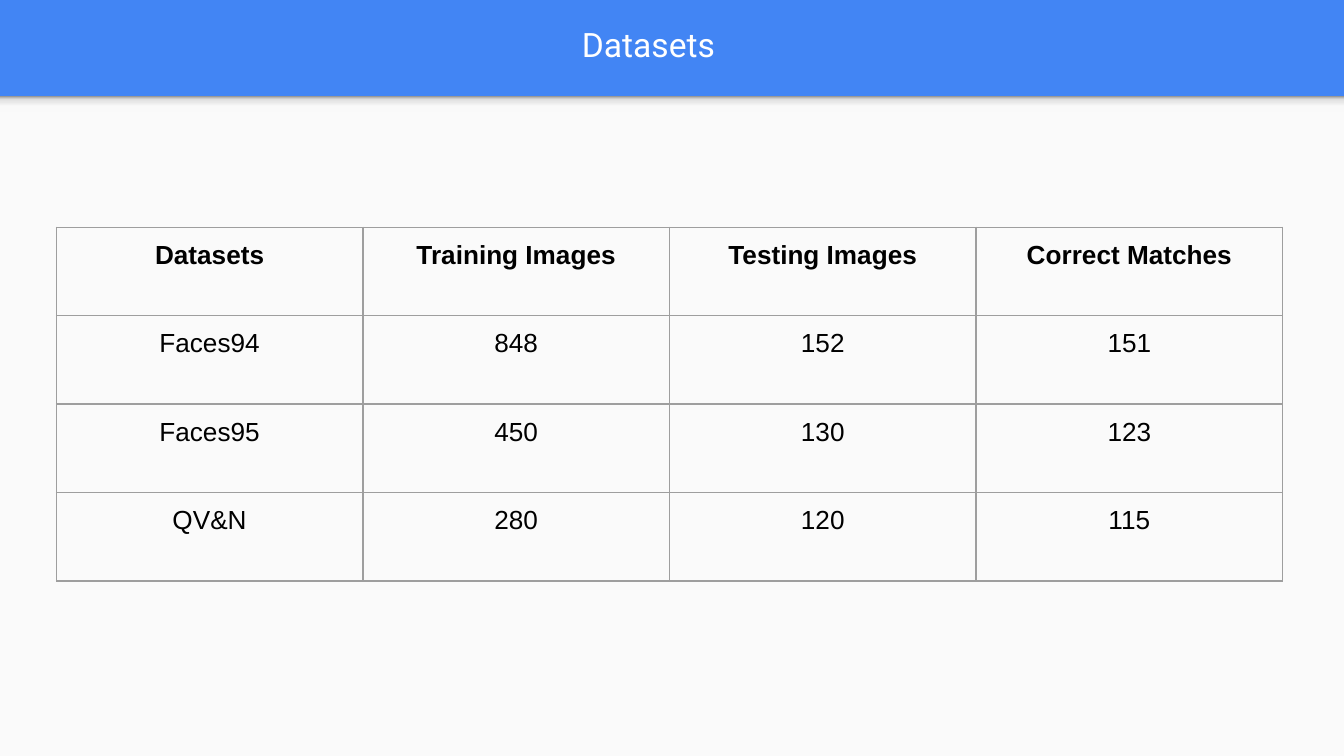
from lxml import etree
from pptx import Presentation
from pptx.dml.color import RGBColor
from pptx.enum.shapes import MSO_SHAPE
from pptx.enum.text import MSO_ANCHOR, PP_ALIGN
from pptx.oxml.ns import qn
from pptx.util import Pt

RECTANGLE = MSO_SHAPE.RECTANGLE
CENTER = PP_ALIGN.CENTER
MIDDLE = MSO_ANCHOR.MIDDLE

COLORS = {
    "header": "4285F4",
    "body": "FAFAFA",
    "title": "FFFFFF",
    "text": "000000",
    "border": "9E9E9E",
}
SHADOW_STOPS = [(0, "F9F9F9"), (36, "F9F9F9"), (80, "DEDEDE"), (100, "999999")]

WIDTH, HEIGHT = 720, 405
HEADER_HEIGHT = 51.5
MARGIN = Pt(7.2)
COLUMN_WIDTH, ROW_HEIGHT = 164.25, 47.4

RESULTS = [
    ["Datasets", "Training Images", "Testing Images", "Correct Matches"],
    ["Faces94", "848", "152", "151"],
    ["Faces95", "450", "130", "123"],
    ["QV&N", "280", "120", "115"],
]


def color(name):
    return RGBColor.from_string(COLORS[name])


def set_margins(holder):
    holder.margin_left = holder.margin_right = MARGIN
    holder.margin_top = holder.margin_bottom = MARGIN


def write(frame, text, font, size, color_name, bold=False):
    paragraph = frame.paragraphs[0]
    paragraph.alignment = CENTER
    run = paragraph.add_run()
    run.text = text
    run.font.name = font
    run.font.size = Pt(size)
    run.font.bold = bold
    run.font.color.rgb = color(color_name)


def add_panel(slide, top, height):
    panel = slide.shapes.add_shape(RECTANGLE, 0, Pt(top), Pt(WIDTH), Pt(height))
    panel.shadow.inherit = False
    panel.line.fill.background()
    return panel


def add_header_shadow(slide):
    header_shadow = add_panel(slide, HEADER_HEIGHT, 8.6)
    fill = header_shadow.fill
    fill.gradient()
    fill.gradient_angle = 90
    # Four stops instead of the default two
    stops = header_shadow.element.spPr.find(".//" + qn("a:gsLst"))
    for stop in list(stops):
        stops.remove(stop)
    for percent, value in SHADOW_STOPS:
        stop = etree.SubElement(stops, qn("a:gs"), pos=str(percent * 1000))
        etree.SubElement(stop, qn("a:srgbClr"), val=value)


def add_title(slide, text):
    title = slide.shapes.add_textbox(0, 0, Pt(694.8), Pt(47.5))
    frame = title.text_frame
    frame.word_wrap = True
    frame.vertical_anchor = MIDDLE
    set_margins(frame)
    write(frame, text, "Roboto", 18, "title")


def set_borders(cell):
    properties = cell._tc.get_or_add_tcPr()
    for index, side in enumerate(("lnL", "lnR", "lnT", "lnB")):
        line = etree.Element(qn("a:" + side), w=str(Pt(0.75)))
        solid = etree.SubElement(line, qn("a:solidFill"))
        etree.SubElement(solid, qn("a:srgbClr"), val=COLORS["border"])
        properties.insert(index, line)


def add_results_table(slide, left, top):
    rows, columns = len(RESULTS), len(RESULTS[0])
    table = slide.shapes.add_table(
        rows, columns, Pt(left), Pt(top),
        Pt(columns * COLUMN_WIDTH), Pt(rows * ROW_HEIGHT),
    ).table
    table.first_row = table.horz_banding = False
    for column in table.columns:
        column.width = Pt(COLUMN_WIDTH)
    for row_index, values in enumerate(RESULTS):
        table.rows[row_index].height = Pt(ROW_HEIGHT)
        for column_index, value in enumerate(values):
            cell = table.cell(row_index, column_index)
            cell.fill.background()
            set_margins(cell)
            set_borders(cell)
            write(cell.text_frame, value, "Arial", 14, "text", bold=row_index == 0)


def main():
    prs = Presentation()
    prs.slide_width, prs.slide_height = Pt(WIDTH), Pt(HEIGHT)
    slide = prs.slides.add_slide(prs.slide_layouts[6])

    # Blue header from the background, light body below it
    background = slide.background.fill
    background.solid()
    background.fore_color.rgb = color("header")
    body = add_panel(slide, HEADER_HEIGHT, HEIGHT - HEADER_HEIGHT)
    body.fill.solid()
    body.fill.fore_color.rgb = color("body")
    add_header_shadow(slide)

    # Content
    add_title(slide, "Datasets")
    add_results_table(slide, 30.2, 121.7)

    prs.save("out.pptx")


if __name__ == "__main__":
    main()
